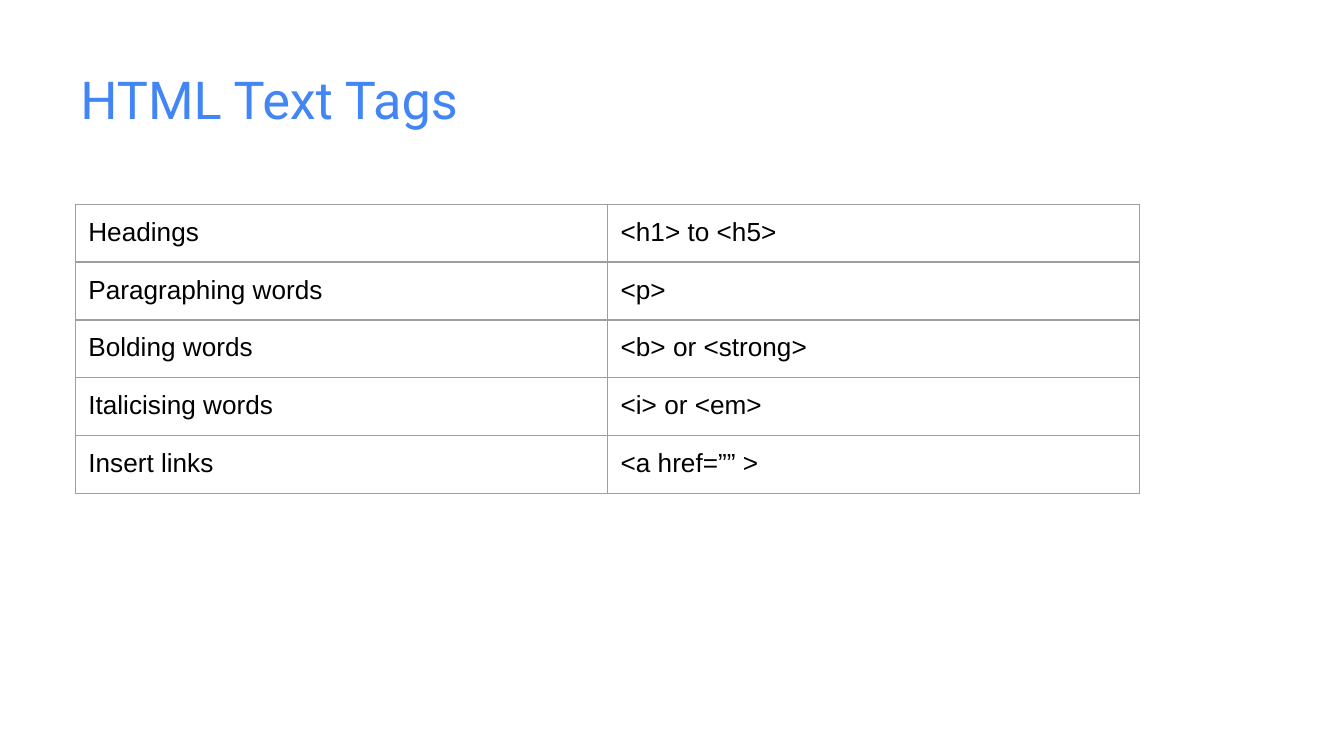
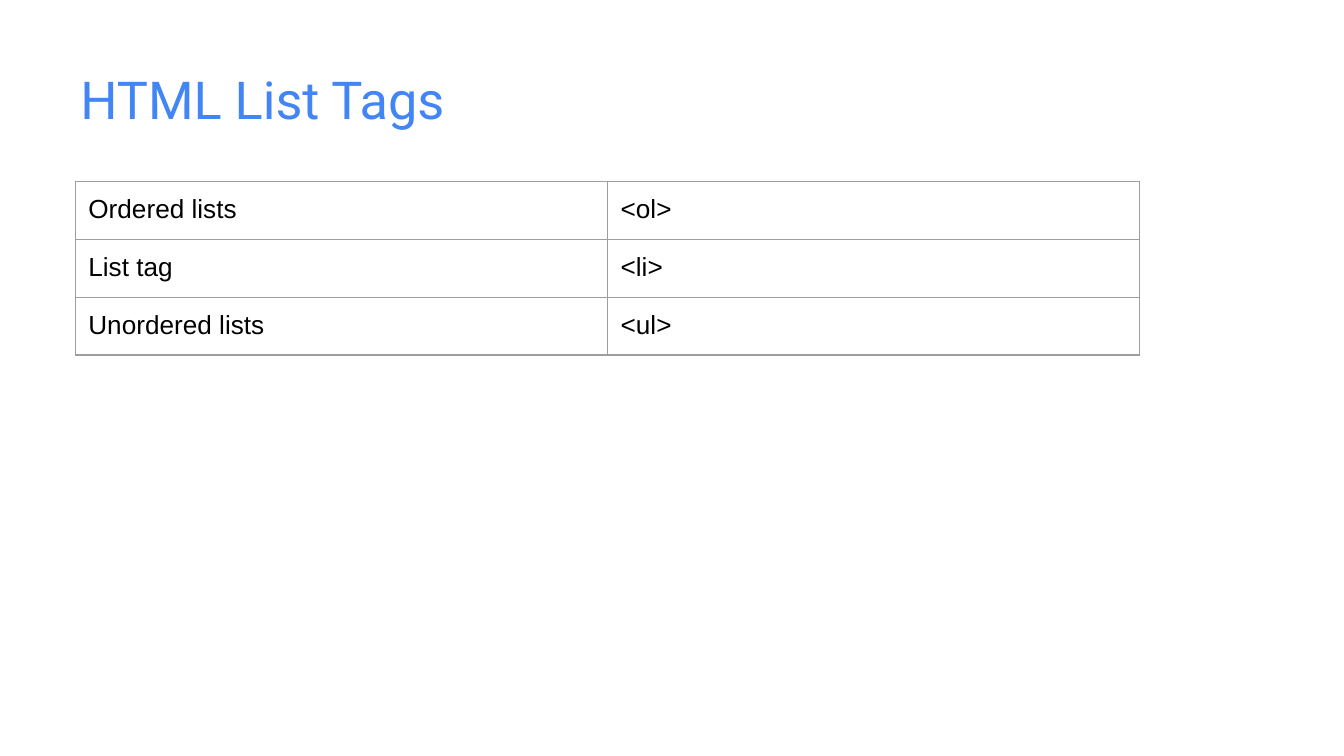
from pptx import Presentation
from pptx import util as u
from pptx.dml.color import RGBColor
from pptx.enum import text
from pptx.oxml import parse_xml
from pptx.oxml.ns import nsdecls

COLORS = {"title": "4285F4", "body": "000000", "grid": "9E9E9E", "back": "FFFFFF"}
FONTS = {
    "title": {"name": "Roboto", "size": u.Pt(28)},
    "body": {"name": "Arial", "size": u.Pt(14)},
}
LEFT = u.Cm(1.42)
MARGINS = ("margin_left", "margin_top", "margin_right", "margin_bottom")

TEXT_TAGS = [
    ("Headings", "<h1> to <h5>"),
    ("Paragraphing words", "<p>"),
    ("Bolding words", "<b> or <strong>"),
    ("Italicising words", "<i> or <em>"),
    ("Insert links", "<a href=”” >"),
]
LIST_TAGS = [
    ("Ordered lists", "<ol>"),
    ("List tag", "<li>"),
    ("Unordered lists", "<ul>"),
]


def set_attrs(obj, values):
    for name, value in values.items():
        setattr(obj, name, value)


class Deck:
    def __init__(self):
        self.prs = Presentation()
        set_attrs(self.prs, {"slide_width": u.Cm(25.4), "slide_height": u.Cm(14.29)})
        self.s = None

    def slide(self):
        self.s = self.prs.slides.add_slide(self.prs.slide_layouts[6])
        fill = self.s.background.fill
        fill.solid()
        fill.fore_color.rgb = RGBColor.from_string(COLORS["back"])

    def add_words(self, p, words, style):
        r = p.add_run()
        r.text = words
        set_attrs(r.font, FONTS[style])
        r.font.color.rgb = RGBColor.from_string(COLORS[style])

    def title(self, words):
        sp = self.s.shapes.add_textbox(LEFT, u.Cm(1.17), u.Cm(22.78), u.Cm(1.91))
        tf = sp.text_frame
        set_attrs(tf, dict.fromkeys(MARGINS, u.Cm(0.1)))
        set_attrs(tf, {"word_wrap": True, "vertical_anchor": text.MSO_ANCHOR.TOP})
        self.add_words(tf.paragraphs[0], words, "title")

    def borders(self, cell):
        """Draw a thin grey line on all four sides of the cell."""
        tc_pr = cell._tc.get_or_add_tcPr()
        for i, side in enumerate(("lnL", "lnR", "lnT", "lnB")):
            tc_pr.insert(i, parse_xml(
                f'<a:{side} {nsdecls("a")} w="{u.Pt(0.75)}"><a:solidFill>'
                f'<a:srgbClr val="{COLORS["grid"]}"/></a:solidFill></a:{side}>'))

    def table(self, top, rows):
        row_height, col_width = u.Cm(1.06), u.Cm(10.06)
        n_cols = len(rows[0])
        table = self.s.shapes.add_table(
            len(rows), n_cols, LEFT, top,
            col_width * n_cols, row_height * len(rows)).table
        set_attrs(table, {"first_row": False, "horz_banding": False})
        for row, values in zip(table.rows, rows):
            row.height = row_height
            for cell, words in zip(row.cells, values):
                set_attrs(cell, dict.fromkeys(MARGINS, u.Cm(0.25)))
                cell.fill.background()
                self.borders(cell)
                self.add_words(cell.text_frame.paragraphs[0], words, "body")


def main():
    deck = Deck()
    for title, top, rows in (
        ("HTML Text Tags", u.Cm(3.86), TEXT_TAGS),
        ("HTML List Tags", u.Cm(3.43), LIST_TAGS),
    ):
        deck.slide()
        deck.title(title)
        deck.table(top, rows)
    deck.prs.save("out.pptx")


if __name__ == "__main__":
    main()
